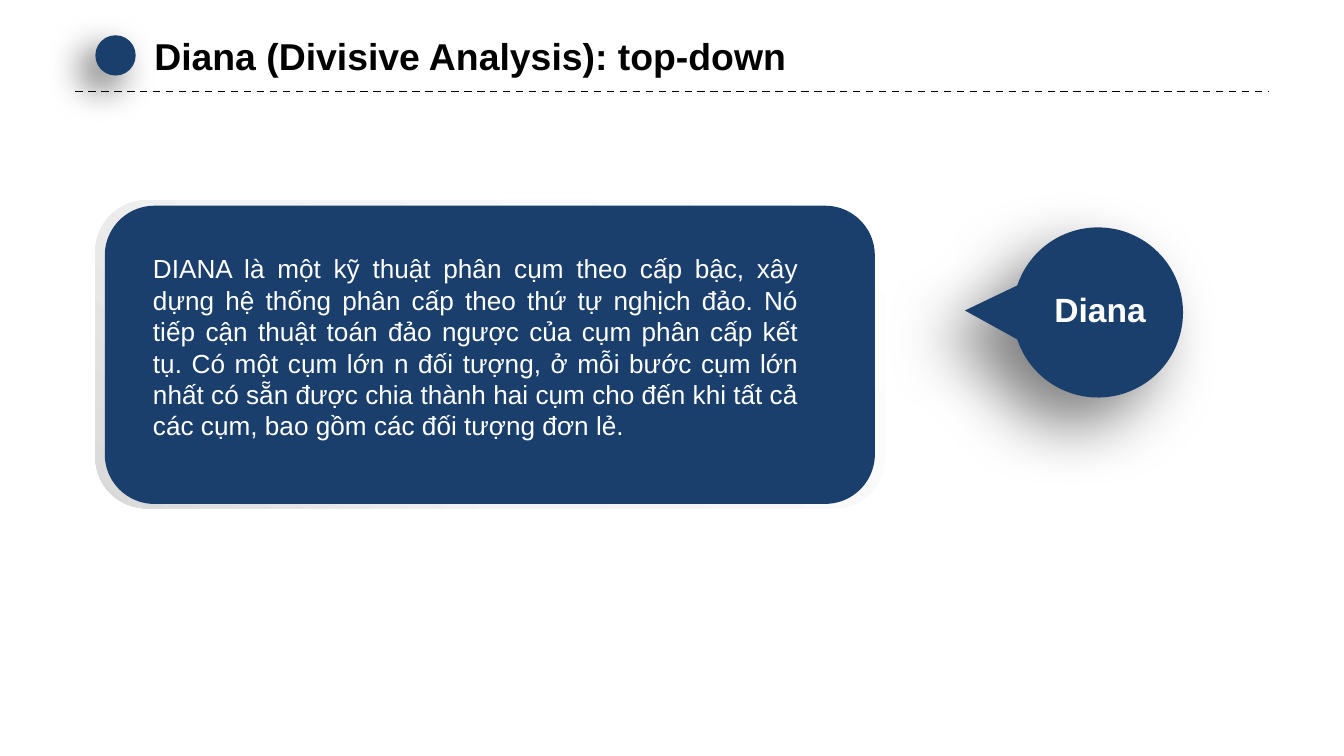
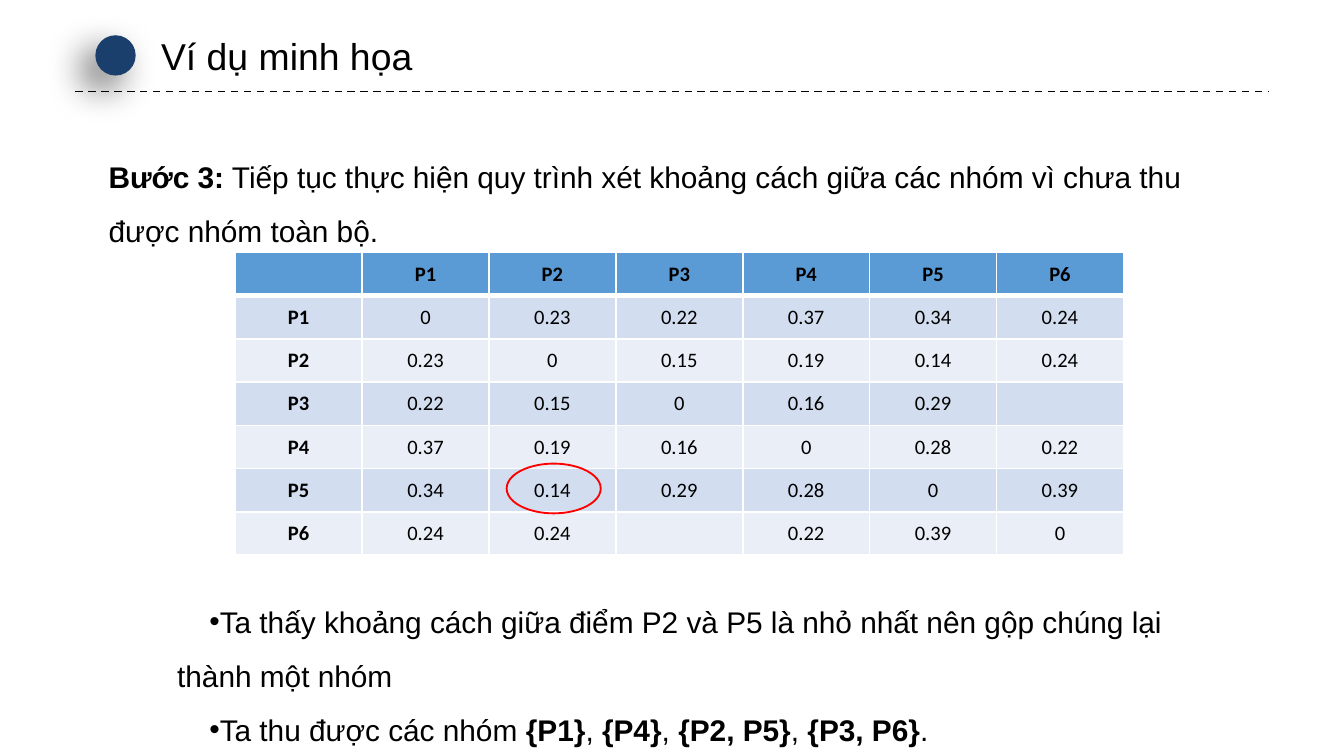
from dataclasses import dataclass
from math import cos, radians, sin

from lxml.etree import SubElement
from pptx import Presentation
from pptx.dml.color import RGBColor
from pptx.enum.dml import MSO_LINE
from pptx.enum.shapes import MSO_CONNECTOR, MSO_SHAPE
from pptx.enum.text import MSO_ANCHOR, MSO_AUTO_SIZE, PP_ALIGN
from pptx.oxml import parse_xml
from pptx.oxml.ns import nsdecls, qn
from pptx.util import Inches, Pt

NAVY, WHITE, BLACK, RED = "1A3F6C", "FFFFFF", "000000", "FF0000"
HEADER, BAND_DARK, BAND_LIGHT = "5B9BD5", "D2DEEF", "EAEFF7"

# Widescreen page, 16:9
prs = Presentation()
prs.slide_width, prs.slide_height = Inches(10), Inches(10 * 9 / 16)


def px(share: float) -> int:
    """Percent of the slide's width."""
    return round(prs.slide_width * share / 100)


def py(share: float) -> int:
    """Percent of the slide's height."""
    return round(prs.slide_height * share / 100)


@dataclass(frozen=True)
class Box:
    """Left, top, width and height in percent of the slide."""
    x: float
    y: float
    w: float
    h: float

    def emu(self) -> tuple[int, int, int, int]:
        return px(self.x), py(self.y), px(self.w), py(self.h)


@dataclass(frozen=True)
class Shadow:
    """Blur and distance in points, opacity in percent; falls down and left."""
    opacity: int
    blur: int
    distance: int


DOT = Box(7.1, 4.67, 3, 5.33)
TABLE = Box(17.5, 33.42, 66.1, 40)
RING = Box(37.7, 61.33, 7, 6.58)


def rgb(color: str) -> RGBColor:
    return RGBColor.from_string(color)


def finish(sp, fill: str | None = None, line: str | None = None,
           shadow: Shadow | None = None) -> None:
    """Set fill, outline and shadow of a shape."""
    sp.shadow.inherit = False
    if fill:
        sp.fill.solid()
        sp.fill.fore_color.rgb = rgb(fill)
    else:
        sp.fill.background()
    if line:
        sp.line.color.rgb = rgb(line)
        sp.line.width = Pt(1)
    else:
        sp.line.fill.background()
    if shadow:
        effects = sp._element.spPr.find(qn("a:effectLst"))
        effects.append(parse_xml(
            f'<a:outerShdw {nsdecls("a")} blurRad="{Pt(shadow.blur)}" '
            f'dist="{Pt(shadow.distance)}" dir="{135 * 60000}" algn="ctr" rotWithShape="0">'
            f'<a:srgbClr val="{BLACK}"><a:alpha val="{shadow.opacity * 1000}"/></a:srgbClr>'
            '</a:outerShdw>'))


def add_shape(shapes, kind: MSO_SHAPE, box: Box, **style):
    sp = shapes.add_shape(kind, *box.emu())
    finish(sp, **style)
    return sp


def write(tf, *paragraphs: str, size: float = 16, font: str = "Arial", color: str = BLACK,
          bold: bool = False, align: PP_ALIGN | None = None, spacing: float | None = None,
          bullet: bool = False) -> None:
    """Fill a text frame; text between asterisks switches the weight."""
    for i, text in enumerate(paragraphs):
        p = tf.paragraphs[0] if i == 0 else tf.add_paragraph()
        p.alignment, p.line_spacing = align, spacing
        if bullet:
            pPr = p._p.get_or_add_pPr()
            pPr.set("marL", str(Inches(0.51)))
            pPr.set("indent", str(Inches(0.24)))
            SubElement(pPr, qn("a:buFont")).set("typeface", "Arial")
            SubElement(pPr, qn("a:buChar")).set("char", "•")
        for j, part in enumerate(text.split("*")):
            if part:
                r = p.add_run()
                r.text = part
                r.font.size, r.font.name = Pt(size), font
                r.font.bold = bold != (j % 2 == 1)
                r.font.color.rgb = rgb(color)
        if not text:
            SubElement(p._p, qn("a:endParaRPr")).set("sz", str(round(size * 100)))


def add_text(slide, box: Box, *paragraphs: str, wrap: bool = True, inset: bool = True,
             **fmt) -> None:
    tf = slide.shapes.add_textbox(*box.emu()).text_frame
    tf.word_wrap = wrap
    tf.auto_size = MSO_AUTO_SIZE.SHAPE_TO_FIT_TEXT
    if not inset:
        tf.margin_left = tf.margin_right = tf.margin_top = tf.margin_bottom = 0
    write(tf, *paragraphs, **fmt)


def add_titled_slide(title: str, title_box: Box, bold: bool):
    """Blank slide with the dashed rule, the dot and a title."""
    s = prs.slides.add_slide(prs.slide_layouts[6])
    rule = s.shapes.add_connector(MSO_CONNECTOR.STRAIGHT, px(5.6), py(12.1), px(94.4), py(12.1))
    rule.line.color.rgb = rgb(BLACK)
    rule.line.width = Pt(1)
    rule.line.dash_style = MSO_LINE.DASH
    SubElement(rule._element.spPr, qn("a:effectLst"))
    add_shape(s.shapes, MSO_SHAPE.OVAL, DOT, fill=NAVY, shadow=Shadow(60, 20, 10))
    add_text(s, title_box, title, wrap=False, size=20, bold=bold)
    return s


def add_bubble(slide) -> None:
    """Round speech bubble whose tail points left."""
    cx, cy, radius, half_gap = px(81.7), py(41.33), px(6.33), 18.5
    steps = 120
    sweep = 360 - 2 * half_gap
    angles = [radians(180 + half_gap + sweep * i / steps) for i in range(steps + 1)]
    builder = slide.shapes.build_freeform(px(71.8), py(41.07))
    builder.add_line_segments(
        [(round(cx + radius * cos(a)), round(cy + radius * sin(a))) for a in angles])
    finish(builder.convert_to_shape(), fill=NAVY, shadow=Shadow(50, 35, 20))


def add_panel(slide) -> None:
    """Navy panel over a softly shaded rim."""
    shapes = slide.shapes.add_group_shape().shapes
    rim = add_shape(shapes, MSO_SHAPE.ROUNDED_RECTANGLE, Box(7.1, 26.5, 58.8, 40.75), fill=WHITE)
    stops = "".join(f'<a:gs pos="{pos * 1000}"><a:srgbClr val="{color}"/></a:gs>'
                    for pos, color in ((0, WHITE), (62, "F2F2F2"), (100, "D9D9D9")))
    spPr = rim._element.spPr
    spPr.replace(spPr.find(qn("a:solidFill")), parse_xml(
        f'<a:gradFill {nsdecls("a")} rotWithShape="1"><a:gsLst>{stops}</a:gsLst>'
        f'<a:lin ang="{135 * 60000}" scaled="0"/></a:gradFill>'))
    add_shape(shapes, MSO_SHAPE.ROUNDED_RECTANGLE, Box(7.8, 27.22, 57.3, 39.45), fill=NAVY)


def set_borders(cell, top: float, bottom: float) -> None:
    """White cell borders, widths in points."""
    sides = {"lnL": 1, "lnR": 1, "lnT": top, "lnB": bottom}
    for i, (side, width) in enumerate(sides.items()):
        cell._tc.get_or_add_tcPr().insert(i, parse_xml(
            f'<a:{side} {nsdecls("a")} w="{Pt(width)}"><a:solidFill>'
            f'<a:srgbClr val="{WHITE}"/></a:solidFill></a:{side}>'))


def add_distances(slide, names: list[str], values: list[list[str]]) -> None:
    """Banded distance matrix with the names along both edges."""
    rows = [["", *names]] + [[name, *line] for name, line in zip(names, values)]
    n = len(rows)
    table = slide.shapes.add_table(n, n, *TABLE.emu()).table
    for i in range(n):
        table.columns[i].width = px(TABLE.w / n)
        table.rows[i].height = py(TABLE.h / n)
    for i, line in enumerate(rows):
        for j, text in enumerate(line):
            cell = table.cell(i, j)
            cell.vertical_anchor = MSO_ANCHOR.MIDDLE
            cell.margin_left = cell.margin_right = Inches(0.08)
            cell.margin_top = cell.margin_bottom = Inches(0.04)
            cell.fill.solid()
            band = BAND_DARK if i % 2 else BAND_LIGHT
            cell.fill.fore_color.rgb = rgb(band if i else HEADER)
            set_borders(cell, top=3 if i == 1 else 1, bottom=1 if i else 3)
            write(cell.text_frame, text, size=11, font="Calibri", bold=i == 0 or j == 0,
                  align=PP_ALIGN.CENTER)


# Slide 1: what Diana is
s = add_titled_slide("Diana (Divisive Analysis): top-down", Box(10.5, 3.56, 49.4, 7.82), bold=True)
add_bubble(s)
add_panel(s)
add_text(s, Box(74.4, 38.25, 14.9, 10.84), "Diana", inset=False, size=18, color=WHITE,
         bold=True, align=PP_ALIGN.CENTER)
add_text(s, Box(10.4, 32.56, 50, 26.84),
         "DIANA là một kỹ thuật phân cụm theo cấp bậc, xây dựng hệ thống phân cấp theo thứ tự "
         "nghịch đảo. Nó tiếp cận thuật toán đảo ngược của cụm phân cấp kết tụ. Có một cụm lớn "
         "n đối tượng, ở mỗi bước cụm lớn nhất có sẵn được chia thành hai cụm cho đến khi tất "
         "cả các cụm, bao gồm các đối tượng đơn lẻ.",
         size=14, color=WHITE, align=PP_ALIGN.JUSTIFY)

# Slide 2: worked example
s = add_titled_slide("Ví dụ minh họa", Box(11, 3.56, 20.9, 7.82), bold=False)
add_text(s, Box(7.1, 17.75, 85.8, 15.29),
         "*Bước 3:* Tiếp tục thực hiện quy trình xét khoảng cách giữa các nhóm vì chưa thu "
         "được nhóm toàn bộ.", spacing=1.5)
points = [f"P{i}" for i in range(1, 7)]
distances = [
    ["0", "0.23", "0.22", "0.37", "0.34", "0.24"],
    ["0.23", "0", "0.15", "0.19", "0.14", "0.24"],
    ["0.22", "0.15", "0", "0.16", "0.29", ""],
    ["0.37", "0.19", "0.16", "0", "0.28", "0.22"],
    ["0.34", "0.14", "0.29", "0.28", "0", "0.39"],
    ["0.24", "0.24", "", "0.22", "0.39", "0"],
]
add_distances(s, points, distances)
add_shape(s.shapes, MSO_SHAPE.OVAL, RING, line=RED)
add_text(s, Box(7.1, 76.65, 85.8, 23.29),
         "Ta thấy khoảng cách giữa điểm P2 và P5 là nhỏ nhất nên gộp chúng lại thành một nhóm",
         "Ta thu được các nhóm *{P1}*, *{P4}*, *{P2, P5}*, *{P3, P6}*.",
         spacing=1.5, bullet=True)

prs.save("out.pptx")
